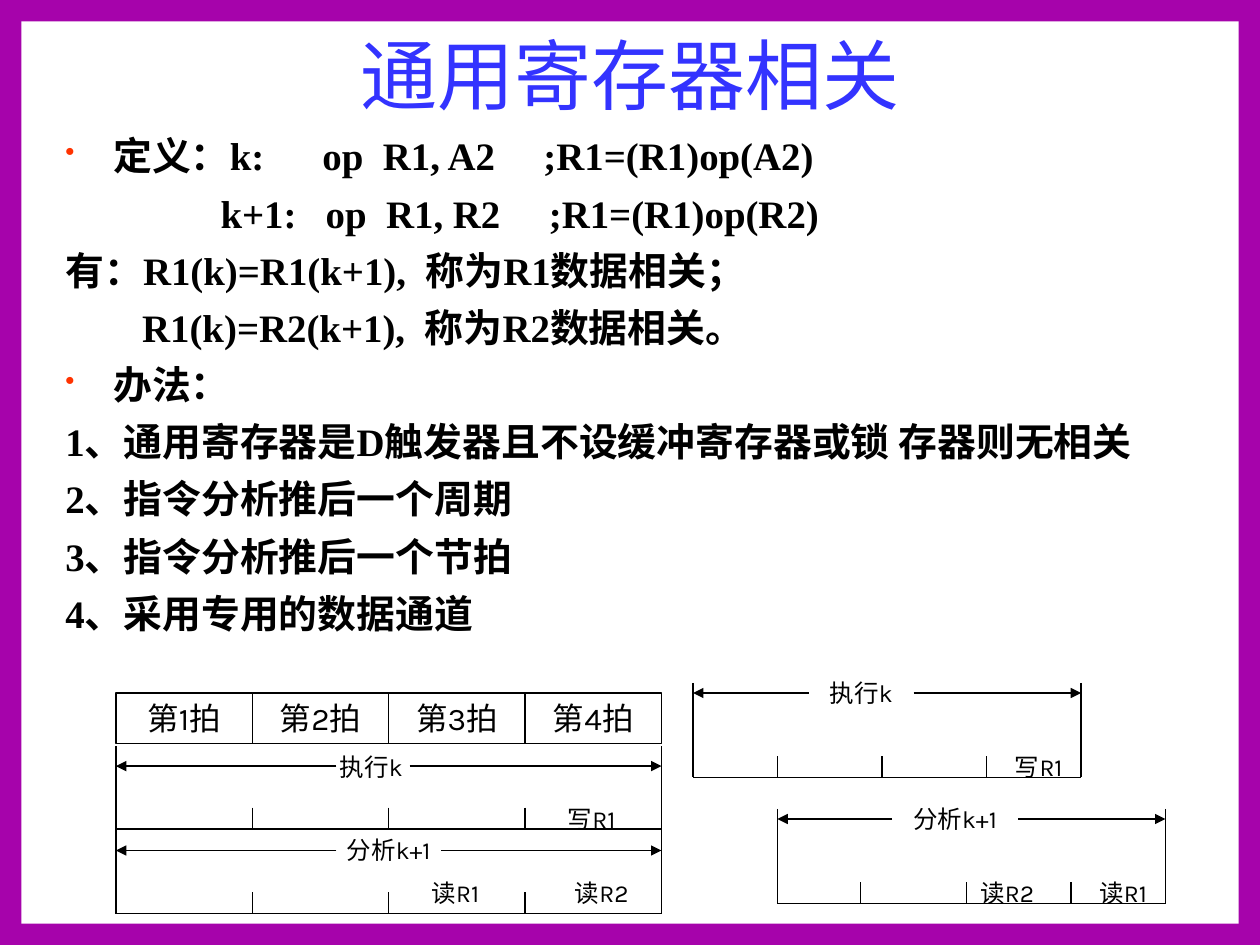
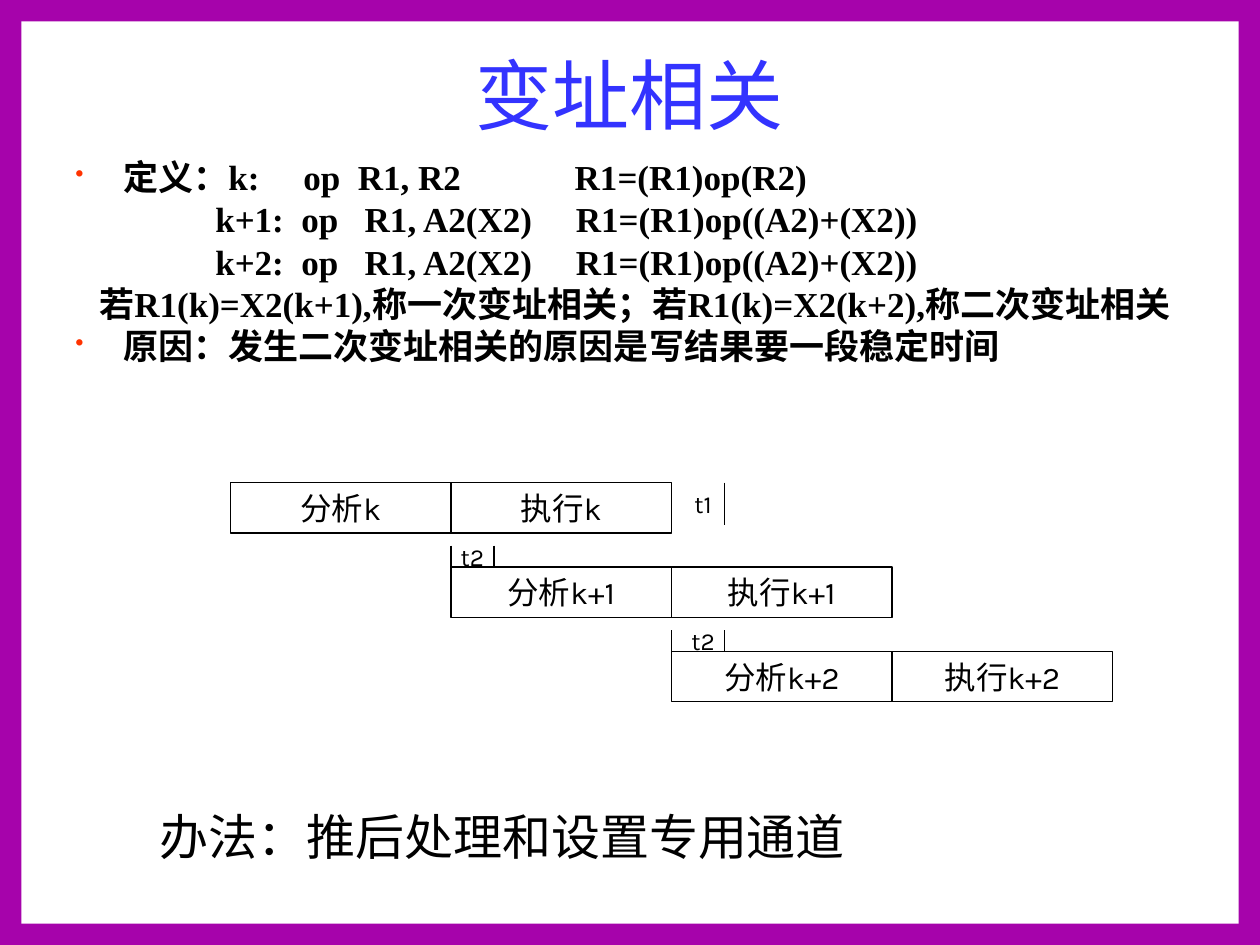
from lxml import etree
from pptx import Presentation
from pptx.dml.color import RGBColor
from pptx.enum.shapes import MSO_CONNECTOR, MSO_SHAPE
from pptx.enum.text import MSO_ANCHOR, PP_ALIGN
from pptx.oxml.ns import qn
from pptx.util import Inches, Pt

RECT = MSO_SHAPE.RECTANGLE
STRAIGHT = MSO_CONNECTOR.STRAIGHT
TOP, BOTTOM = MSO_ANCHOR.TOP, MSO_ANCHOR.BOTTOM
LEFT, CENTER = PP_ALIGN.LEFT, PP_ALIGN.CENTER

WIDE, HIGH, BAND = 10, 7.5, 0.17
HANG = 0.38
PLAIN = (HANG, -HANG, False)
BULLET = (HANG, -HANG, True)
COLORS = {"band": "A603AB", "title": "3333FF", "ink": "000000", "dot": "FF3300"}
FONTS = {
    "title": {"name": "Karla", "size": Pt(44)},
    "body": {"name": "Times New Roman", "bold": True},
    "cell": {"name": "Karla", "size": Pt(18)},
    "label": {"name": "Karla", "size": Pt(14)},
    "note": {"name": "Karla", "size": Pt(28)},
}


def color(key):
    return RGBColor.from_string(COLORS[key])


def assign(target, values):
    for name, value in values.items():
        setattr(target, name, value)


class Deck:
    def __init__(self):
        self.prs = Presentation()
        self.prs.slide_width = Inches(WIDE)
        self.prs.slide_height = Inches(HIGH)
        self.slide = None

    def page(self, title, top):
        """Start a slide with its border bands and title."""
        self.slide = self.prs.slides.add_slide(self.prs.slide_layouts[6])
        for box in (
            (0, 0, WIDE, BAND),
            (0, HIGH - BAND, WIDE, BAND),
            (0, 0, BAND, HIGH),
            (WIDE - BAND, 0, BAND, HIGH),
        ):
            band = self.rect(*box)
            band.fill.solid()
            band.fill.fore_color.rgb = color("band")
            band.line.fill.background()
        self.text(title, 0.5, top, 9, 0.83, "title", anchor=BOTTOM, ink="title")

    def rect(self, left, top, width, height):
        shape = self.slide.shapes.add_shape(RECT, *map(Inches, (left, top, width, height)))
        shape.shadow.inherit = False
        return shape

    def fill(self, para, text, style, align=CENTER, ink="ink"):
        para.text = text
        para.alignment = align
        assign(para.font, FONTS[style])
        para.font.color.rgb = color(ink)

    def frame(self, left, top, width, height, anchor=TOP):
        box = self.slide.shapes.add_textbox(*map(Inches, (left, top, width, height)))
        assign(box.text_frame, {"word_wrap": True, "vertical_anchor": anchor})
        return box.text_frame

    def text(self, text, left, top, width, height=0.34, style="label",
             align=CENTER, anchor=TOP, ink="ink"):
        frame = self.frame(left, top, width, height, anchor)
        self.fill(frame.paragraphs[0], text, style, align, ink)

    def cell(self, text, left, top, width):
        shape = self.rect(left, top, width, 0.4)
        shape.fill.background()
        shape.line.color.rgb = color("ink")
        shape.line.width = Pt(0.75)
        assign(shape.text_frame, {"word_wrap": True, "vertical_anchor": TOP})
        self.fill(shape.text_frame.paragraphs[0], text, "cell")

    def body(self, rows, left, top, width, height, size, gap, pitch=1.0):
        """Rows hold text, left margin, first indent and a bullet flag."""
        frame = self.frame(left, top, width, height)
        for i, (text, margin, first, dot) in enumerate(rows):
            para = frame.add_paragraph() if i else frame.paragraphs[0]
            props = para._p.get_or_add_pPr()
            props.set("marL", str(Inches(margin)))
            props.set("indent", str(Inches(first)))
            if dot:
                tint = etree.SubElement(props, qn("a:buClr"))
                etree.SubElement(tint, qn("a:srgbClr"), val=COLORS["dot"])
                etree.SubElement(props, qn("a:buSzPct"), val="70000")
                etree.SubElement(props, qn("a:buChar"), char="•")
            else:
                etree.SubElement(props, qn("a:buNone"))
            self.fill(para, text, "body", LEFT)
            para.font.size = Pt(size)
            para.line_spacing = pitch
            para.space_before = Pt(gap if i else 0)

    def line(self, x1, y1, x2, y2, arrow=False):
        wire = self.slide.shapes.add_connector(STRAIGHT, *map(Inches, (x1, y1, x2, y2)))
        wire.line.color.rgb = color("ink")
        wire.line.width = Pt(0.75)
        if arrow:
            etree.SubElement(wire.line._get_or_add_ln(), qn("a:tailEnd"), type="triangle")
        etree.SubElement(wire._element.spPr, qn("a:effectLst"))

    def span(self, left, right, top, base, mid, gap, ticks):
        """Draw a timing bracket with ticks and arrows out of a label gap."""
        self.line(left, base, right, base)
        for x in (left, right):
            self.line(x, top, x, base)
        for x in ticks:
            self.line(x, base - 0.17, x, base)
        for start, end in zip(gap, (left, right)):
            self.line(start, mid, end, mid, arrow=True)


def general(deck):
    deck.page("通用寄存器相关", 0.17)
    deck.body([
        ("定义：k:      op  R1, A2     ;R1=(R1)op(A2)", *BULLET),
        ("                k+1:   op  R1, R2     ;R1=(R1)op(R2)", *PLAIN),
        ("有：R1(k)=R1(k+1),  称为R1数据相关；", *PLAIN),
        ("R1(k)=R2(k+1),  称为R2数据相关。", 0.61, 0, False),
        ("办法：", *BULLET),
        ("1、通用寄存器是D触发器且不设缓冲寄存器或锁 存器则无相关", *PLAIN),
        ("2、指令分析推后一个周期", *PLAIN),
        ("3、指令分析推后一个节拍", *PLAIN),
        ("4、采用专用的数据通道", *PLAIN),
    ], 0.42, 1, 9.58, 4.33, 22.2, 6)

    # Beats of one cycle
    left, right = 0.92, 5.25
    beat = (right - left) / 4
    for i in range(4):
        deck.cell(f"第{i + 1}拍", left + i * beat, 5.5, beat)

    # Timing brackets
    ticks = [left + i * beat for i in (1, 2, 3)]
    deck.span(left, right, 5.92, 6.58, 6.08, (2.67, 3.25), ticks)
    deck.span(left, right, 6.58, 7.25, 6.75, (2.67, 3.5), ticks)
    deck.span(5.5, 8.58, 5.42, 6.17, 5.5, (6.42, 7.25), (6.17, 7, 7.83))
    deck.span(6.17, 9.25, 6.42, 7.17, 6.5, (7.08, 8.08), (6.83, 7.67, 8.5))

    # Labels on the brackets
    for label in (
        ("写R1", 4.25, 6.33, 0.89),
        ("读R1", 3.17, 6.92, 0.89),
        ("读R2", 4.33, 6.92, 0.89),
        ("执行k", 2.5, 5.92, 0.89),
        ("分析k+1", 2.5, 6.58, 1.17),
        ("执行k", 6.42, 5.33, 0.83),
        ("分析k+1", 7.08, 6.33, 1),
        ("写R1", 7.83, 5.92, 0.83),
        ("读R2", 7.58, 6.92, 0.83),
        ("读R1", 8.5, 6.92, 0.83),
    ):
        deck.text(*label)


def index(deck):
    deck.page("变址相关", 0.33)
    deck.body([
        ("定义：k:     op  R1, R2             R1=(R1)op(R2)", *BULLET),
        ("                k+1:  op   R1, A2(X2)     R1=(R1)op((A2)+(X2))", *PLAIN),
        ("                k+2:  op   R1, A2(X2)     R1=(R1)op((A2)+(X2))", *PLAIN),
        ("若R1(k)=X2(k+1),称一次变址相关；若R1(k)=X2(k+2),称二次变址相关", HANG, -0.19, False),
        ("原因：发生二次变址相关的原因是写结果要一段稳定时间", *BULLET),
    ], 0.5, 1.25, 9, 2, 20, 5, 0.8)

    # Staircase of overlapping steps
    step = 1.75
    for i, name in enumerate(("k", "k+1", "k+2")):
        for j, stage in enumerate(("分析", "执行")):
            deck.cell(stage + name, 1.83 + (i + j) * step, 3.83 + i * 0.67, step)

    # Time marks
    for x, top, bottom in (
        (5.75, 3.83, 4.17),
        (3.58, 4.33, 4.5),
        (3.92, 4.33, 4.5),
        (5.33, 5, 5.17),
        (5.75, 5, 5.17),
    ):
        deck.line(x, top, x, bottom)
    for name, left, top in (("t1", 5.33, 3.83), ("t2", 3.5, 4.25), ("t2", 5.33, 4.92)):
        deck.text(name, left, top, 0.5)

    # Closing remedy
    deck.text("办法：推后处理和设置专用通道", 1.17, 6.35, 8, 0.57, "note", LEFT)


def main():
    deck = Deck()
    general(deck)
    index(deck)
    deck.prs.save("out.pptx")


if __name__ == "__main__":
    main()
